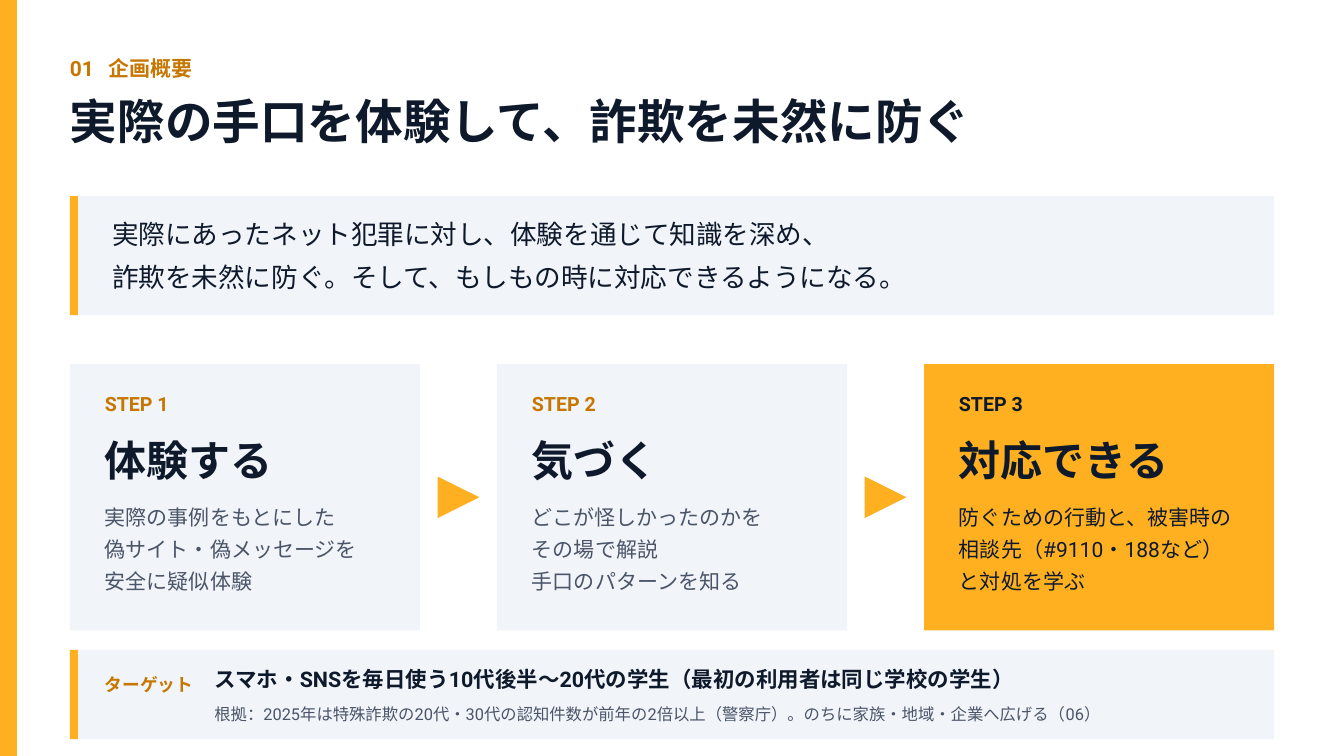
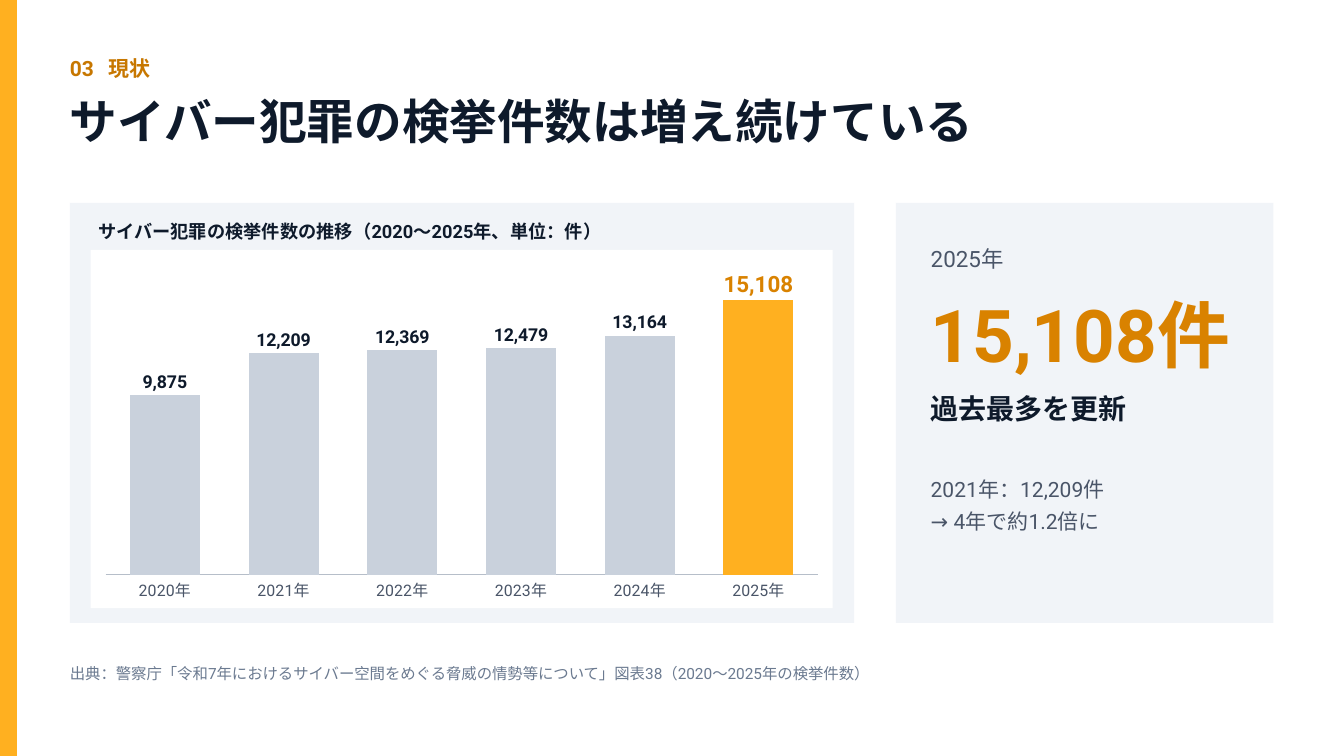
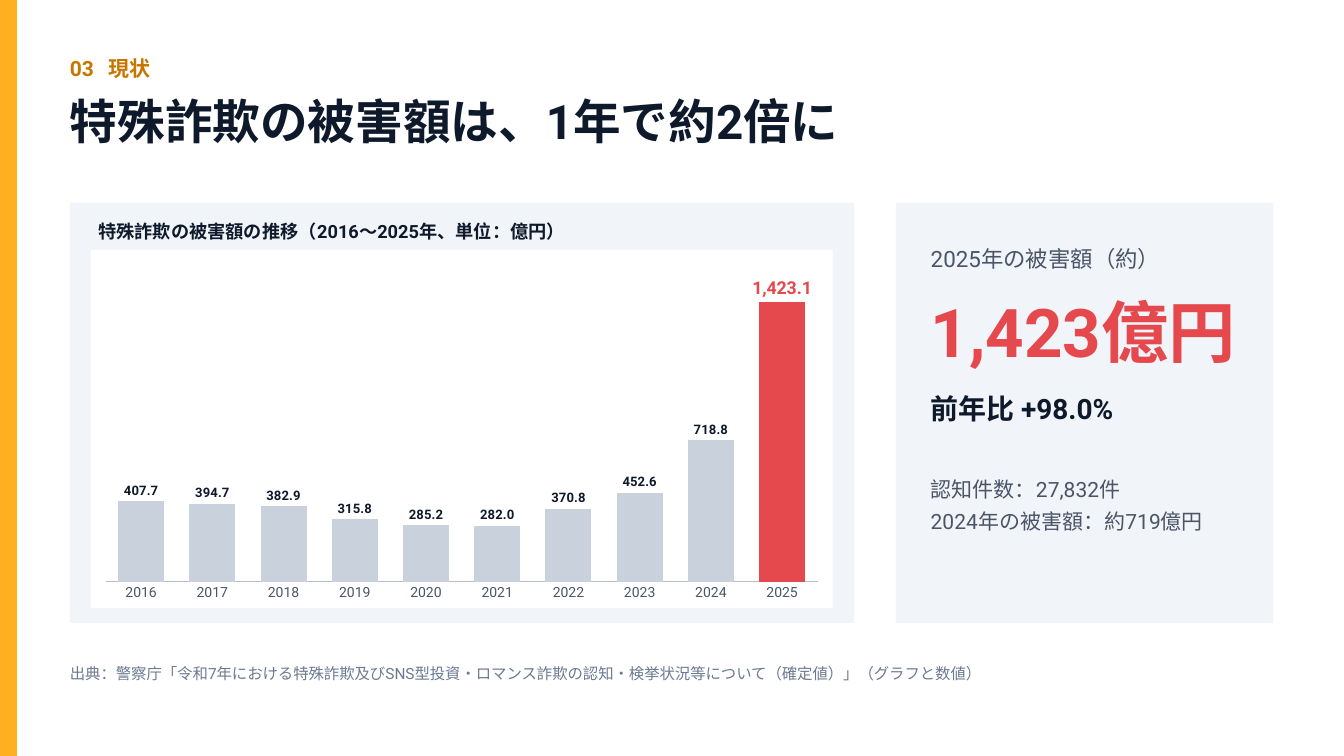
"""Build three slides on learning to prevent online fraud."""
import pptx
import pptx.chart.data
import pptx.dml.color
import pptx.enum.chart
import pptx.enum.shapes
import pptx.enum.text
import pptx.oxml
import pptx.oxml.ns
import pptx.util

Inches, Pt = pptx.util.Inches, pptx.util.Pt
RGBColor = pptx.dml.color.RGBColor
SHAPES = pptx.enum.shapes.MSO_SHAPE

FONT = "Roboto"
WHITE = RGBColor(0xFF, 0xFF, 0xFF)
NAVY = RGBColor(0x0E, 0x1A, 0x2B)
AMBER = RGBColor(0xFF, 0xB0, 0x20)
DARK_AMBER = RGBColor(0xC7, 0x77, 0x00)
FIGURE_AMBER = RGBColor(0xD9, 0x82, 0x00)
RED = RGBColor(0xE5, 0x48, 0x4D)
PANEL = RGBColor(0xF1, 0xF4, 0xF8)
SLATE = RGBColor(0x4A, 0x55, 0x68)
SOURCE_GRAY = RGBColor(0x6B, 0x7A, 0x90)
BAR_GRAY = RGBColor(0xC9, 0xD1, 0xDC)
AXIS_GRAY = RGBColor(0xB6, 0xBE, 0xC9)

LEFT, WIDTH = 1.04, 17.92
CARD_WIDTH, CARD_TOP, CARD_HEIGHT = 5.21, 5.42, 3.96
PADDING = 0.52
ARROW = 0.62
PANEL_TOP, PANEL_HEIGHT = 3.02, 6.25
SIDE_LEFT, SIDE_WIDTH = 13.33, 5.62

OVERVIEW = {
    "section": "01\t企画概要",
    "title": "実際の手口を体験して、詐欺を未然に防ぐ",
    "purpose": ["実際にあったネット犯罪に対し、体験を通じて知識を深め、",
                "詐欺を未然に防ぐ。そして、もしもの時に対応できるようになる。"],
    "steps": [
        ("STEP 1", "体験する",
         ["実際の事例をもとにした", "偽サイト・偽メッセージを", "安全に疑似体験"]),
        ("STEP 2", "気づく",
         ["どこが怪しかったのかを", "その場で解説", "手口のパターンを知る"]),
        ("STEP 3", "対応できる",
         ["防ぐための行動と、被害時の", "相談先（#9110・188など）", "と対処を学ぶ"]),
    ],
    "target_label": "ターゲット",
    "target": "スマホ・SNSを毎日使う10代後半〜20代の学生（最初の利用者は同じ学校の学生）",
    "reason": "根拠：2025年は特殊詐欺の20代・30代の認知件数が前年の2倍以上（警察庁）。"
              "のちに家族・地域・企業へ広げる（06）",
}

TRENDS = [
    {
        "section": "03\t現状",
        "title": "サイバー犯罪の検挙件数は増え続けている",
        "chart_title": "サイバー犯罪の検挙件数の推移（2020〜2025年、単位：件）",
        "years": [f"{year}年" for year in range(2020, 2026)],
        "values": [9875, 12209, 12369, 12479, 13164, 15108],
        "maximum": 17500, "format": "#,##0", "gap": 70,
        "axis_size": 17, "label_size": 19, "peak_size": 24,
        "peak_bar": AMBER, "peak_text": FIGURE_AMBER,
        "period": "2025年", "figure": "15,108件",
        "figure_size": 78, "figure_line": 85.8,
        "finding": "過去最多を更新",
        "details": ["2021年：12,209件", "→ 4年で約1.2倍に"],
        "source": "出典：警察庁「令和7年におけるサイバー空間をめぐる脅威の情勢等について」"
                  "図表38（2020〜2025年の検挙件数）",
    },
    {
        "section": "03\t現状",
        "title": "特殊詐欺の被害額は、1年で約2倍に",
        "chart_title": "特殊詐欺の被害額の推移（2016〜2025年、単位：億円）",
        "years": [str(year) for year in range(2016, 2026)],
        "values": [407.7, 394.7, 382.9, 315.8, 285.2, 282, 370.8, 452.6, 718.8, 1423.1],
        "maximum": 1650, "format": "#,##0.0", "gap": 55,
        "axis_size": 15, "label_size": 14, "peak_size": 19,
        "peak_bar": RED, "peak_text": RED,
        "period": "2025年の被害額（約）", "figure": "1,423億円",
        "figure_size": 72, "figure_line": 79.2,
        "finding": "前年比 +98.0%",
        "details": ["認知件数：27,832件", "2024年の被害額：約719億円"],
        "source": "出典：警察庁「令和7年における特殊詐欺及びSNS型投資・ロマンス詐欺の"
                  "認知・検挙状況等について（確定値）」（グラフと数値）",
    },
]


def style_font(font, size, color, bold=False):
    font.name = FONT
    font.size = Pt(size)
    font.bold = bold
    font.color.rgb = color


def add_block(slide, left, top, width, height, color, kind=SHAPES.RECTANGLE):
    block = slide.shapes.add_shape(
        kind, Inches(left), Inches(top), Inches(width), Inches(height))
    block.shadow.inherit = False
    block.fill.solid()
    block.fill.fore_color.rgb = color
    block.line.fill.background()
    return block


def add_text(slide, left, top, width, lines, size, leading, color, bold=False, tab=None):
    box = slide.shapes.add_textbox(Inches(left), Inches(top), Inches(width),
                                   Inches(len(lines) * leading / 72))
    frame = box.text_frame
    frame.word_wrap = True
    frame.auto_size = pptx.enum.text.MSO_AUTO_SIZE.SHAPE_TO_FIT_TEXT
    frame.margin_left = frame.margin_right = frame.margin_top = frame.margin_bottom = 0
    frame.text = "\n".join(lines)
    for paragraph in frame.paragraphs:
        if tab:
            namespace = pptx.oxml.ns.nsdecls("a")
            paragraph._p.get_or_add_pPr().append(pptx.oxml.parse_xml(
                f'<a:tabLst {namespace}><a:tab pos="{Inches(tab)}" algn="l"/></a:tabLst>'))
        paragraph.line_spacing = Pt(leading)
        style_font(paragraph.font, size, color, bold)


def add_accented_panel(slide, top, height):
    add_block(slide, LEFT, top, WIDTH, height, PANEL)
    add_block(slide, LEFT, top, 0.12, height, AMBER)


def start_slide(deck, content):
    slide = deck.slides.add_slide(deck.slide_layouts[6])
    slide.background.fill.solid()
    slide.background.fill.fore_color.rgb = WHITE
    add_block(slide, 0, 0, 0.25, 11.25, AMBER)
    add_text(slide, LEFT, 0.77, 6.25, [content["section"]], 22.5, 31.5, DARK_AMBER, True, 0.58)
    add_text(slide, LEFT, 1.22, 17.71, [content["title"]], 51, 71.4, NAVY, True)
    return slide


def build_overview(deck, content):
    slide = start_slide(deck, content)
    add_accented_panel(slide, 2.92, 1.77)
    add_text(slide, 1.67, 3.09, 16.88, content["purpose"], 28.5, 45.6, NAVY)

    steps = content["steps"]
    pitch = (WIDTH - CARD_WIDTH) / (len(steps) - 1)
    for index, (label, heading, details) in enumerate(steps):
        left = LEFT + index * pitch
        is_goal = index == len(steps) - 1
        add_block(slide, left, CARD_TOP, CARD_WIDTH, CARD_HEIGHT, AMBER if is_goal else PANEL)
        text_left = left + PADDING
        add_text(slide, text_left, 5.78, 4.17, [label], 21, 29.4,
                 NAVY if is_goal else DARK_AMBER, True)
        add_text(slide, text_left, 6.34, 4.17, [heading], 45, 63, NAVY, True)
        add_text(slide, text_left, 7.42, 4.38, details, 22.5, 33.8,
                 NAVY if is_goal else SLATE)
        if not is_goal:
            arrow_left = left + (CARD_WIDTH + pitch - ARROW) / 2
            arrow_top = CARD_TOP + (CARD_HEIGHT - ARROW) / 2
            arrow = add_block(slide, arrow_left, arrow_top, ARROW, ARROW, AMBER,
                              SHAPES.ISOSCELES_TRIANGLE)
            arrow.rotation = 90

    add_accented_panel(slide, 9.67, 1.33)
    add_text(slide, LEFT + PADDING, 9.93, 1.67, [content["target_label"]],
             19, 29.4, DARK_AMBER, True)
    add_text(slide, 3.19, 9.88, 15.42, [content["target"]], 23, 30, NAVY, True)
    add_text(slide, 3.19, 10.43, 15.42, [content["reason"]], 17.5, 24, SLATE)


def add_trend_chart(slide, content):
    data = pptx.chart.data.CategoryChartData(number_format=content["format"])
    data.categories = content["years"]
    data.add_series("Series 1", content["values"])
    chart = slide.shapes.add_chart(
        pptx.enum.chart.XL_CHART_TYPE.COLUMN_CLUSTERED,
        Inches(1.35), Inches(3.72), Inches(11.04), Inches(5.33), data).chart
    chart.has_legend = False
    chart.has_title = False
    style_font(chart.font, content["axis_size"], SLATE)
    chart.element.find(pptx.oxml.ns.qn("c:chart")).addnext(pptx.oxml.parse_xml(
        f'<c:spPr {pptx.oxml.ns.nsdecls("c", "a")}><a:solidFill><a:srgbClr val="{WHITE}"/>'
        '</a:solidFill><a:ln><a:noFill/></a:ln></c:spPr>'))

    years = chart.category_axis
    years.major_tick_mark = pptx.enum.chart.XL_TICK_MARK.NONE
    years.format.line.color.rgb = AXIS_GRAY
    years.format.line.width = Pt(0.75)
    style_font(years.tick_labels.font, content["axis_size"], SLATE)
    amounts = chart.value_axis
    amounts.visible = False
    amounts.has_major_gridlines = False
    amounts.minimum_scale = 0
    amounts.maximum_scale = content["maximum"]

    plot = chart.plots[0]
    plot.vary_by_categories = False
    plot.gap_width = content["gap"]
    bars = plot.series[0]
    bars.format.fill.solid()
    bars.format.fill.fore_color.rgb = BAR_GRAY
    above = pptx.enum.chart.XL_LABEL_POSITION.OUTSIDE_END
    labels = bars.data_labels
    labels.show_value = True
    labels.position = above
    labels.number_format = content["format"]
    labels.number_format_is_linked = False
    style_font(labels.font, content["label_size"], NAVY, True)

    peak = bars.points[len(content["values"]) - 1]
    peak.format.fill.solid()
    peak.format.fill.fore_color.rgb = content["peak_bar"]
    style_font(peak.data_label.font, content["peak_size"], content["peak_text"], True)
    peak.data_label.position = above


def build_trend(deck, content):
    slide = start_slide(deck, content)
    add_block(slide, LEFT, PANEL_TOP, 11.67, PANEL_HEIGHT, PANEL)
    add_block(slide, SIDE_LEFT, PANEL_TOP, SIDE_WIDTH, PANEL_HEIGHT, PANEL)
    add_text(slide, 1.46, 3.22, 10.83, [content["chart_title"]], 19.5, 27.3, NAVY, True)
    add_trend_chart(slide, content)
    side_texts = [
        (3.58, [content["period"]], 24, 33.6, SLATE, False),
        (4.42, [content["figure"]], content["figure_size"], content["figure_line"],
         content["peak_text"], True),
        (5.75, [content["finding"]], 30, 42, NAVY, True),
        (7, content["details"], 22.5, 33.8, SLATE, False),
    ]
    for top, *text in side_texts:
        add_text(slide, SIDE_LEFT + PADDING, top, 5, *text)
    add_text(slide, LEFT, 9.83, WIDTH, [content["source"]], 16.5, 23.1, SOURCE_GRAY)


def main():
    deck = pptx.Presentation()
    deck.slide_width = Inches(20)
    deck.slide_height = Inches(11.25)
    build_overview(deck, OVERVIEW)
    for trend in TRENDS:
        build_trend(deck, trend)
    deck.save("out.pptx")


if __name__ == "__main__":
    main()
